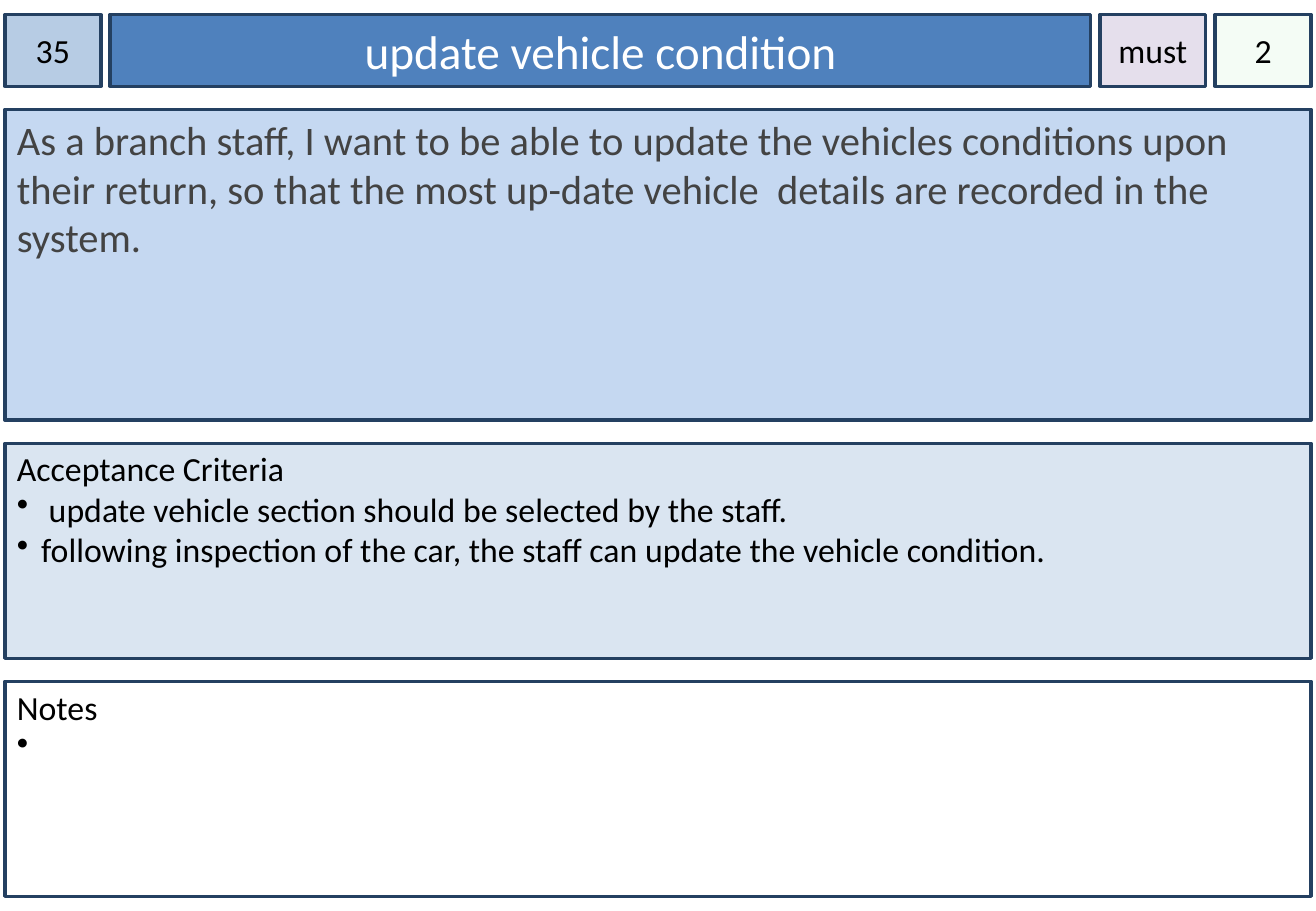
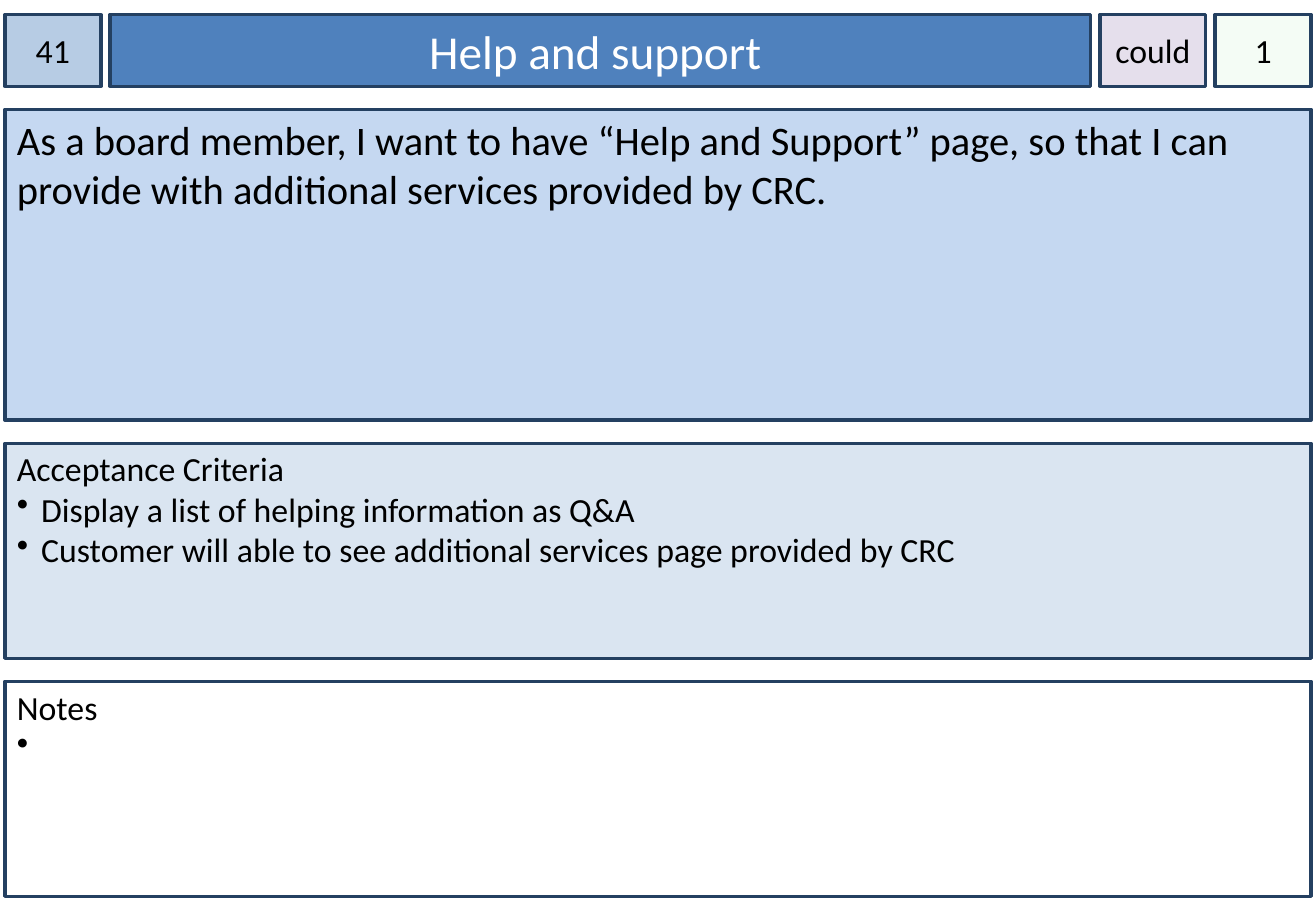
"""Builds two user story cards with a header row and three stacked panels."""
import lxml.etree
import pptx
import pptx.dml.color
import pptx.enum.shapes
import pptx.enum.text
import pptx.oxml.ns
import pptx.util

ANCHOR = pptx.enum.text.MSO_ANCHOR
ALIGN = pptx.enum.text.PP_ALIGN

STORIES = [
    {
        "number": "35",
        "title": "update vehicle condition",
        "priority": "must",
        "points": "2",
        "story": "As a branch staff, I want to be able to update the vehicles conditions upon "
                 "their return, so that the most up-date vehicle  details are recorded in the system.",
        "story_color": "434343",
        "criteria": [
            " update vehicle section should be selected by the staff.",
            "following inspection of the car, the staff can update the vehicle condition.",
        ],
        "notes": [" "],
    },
    {
        "number": "41",
        "title": "Help and support ",
        "priority": "could",
        "points": "1",
        "story": "As a board member, I want to have “Help and Support” page, so that I can "
                 "provide with additional services provided by CRC.",
        "story_color": "000000",
        "criteria": [
            "Display a list of helping information as Q&A",
            "Customer will able to see additional services page provided by CRC",
        ],
        "notes": [" "],
    },
]

THEME = {
    "font": "Calibri",
    "text": "000000",
    "border": "244061",
    "border_width": 2,
    "header_size": 20,
    "title_size": 28,
    "title_text": "FFFFFF",
    "story_size": 24,
    "panel_size": 20,
    "fills": {
        "number": "B7CCE4",
        "title": "4F81BD",
        "priority": "E5DFEC",
        "points": "CCF0CD",
        "story": "C5D8F1",
        "criteria": "DAE5F1",
        "notes": "FFFFFF",
    },
    "opacity": {"points": 20},
}

PX = 9144
PAGE = (1083, 750)
LEFT, TOP, WIDTH = 4, 12, 1075
ROW_GAP = 19
HEADER_HEIGHT = 59
HEADER_WIDTHS = {"number": 79, "title": 807, "priority": 87, "points": 79}
PANEL_HEIGHTS = {"story": 256, "criteria": 177, "notes": 177}
PANEL_HEADINGS = {"criteria": "Acceptance Criteria", "notes": "Notes"}
BULLET_INDENT = 20


def px(value):
    return round(value * PX)


def rgb(value):
    return pptx.dml.color.RGBColor.from_string(value)


def layout():
    """Return the place of every box by name."""
    places = {}
    gap = (WIDTH - sum(HEADER_WIDTHS.values())) / (len(HEADER_WIDTHS) - 1)
    left = LEFT
    for name, width in HEADER_WIDTHS.items():
        places[name] = (left, TOP, width, HEADER_HEIGHT)
        left += width + gap
    top = TOP + HEADER_HEIGHT + ROW_GAP
    for name, height in PANEL_HEIGHTS.items():
        places[name] = (LEFT, top, WIDTH, height)
        top += height + ROW_GAP
    return places


def add_bullet(para):
    """Give a paragraph a hanging round bullet."""
    properties = para._p.get_or_add_pPr()
    for name, value in {"marL": BULLET_INDENT, "indent": -BULLET_INDENT}.items():
        properties.set(name, str(px(value)))
    color = lxml.etree.SubElement(properties, pptx.oxml.ns.qn("a:buClr"))
    lxml.etree.SubElement(color, pptx.oxml.ns.qn("a:srgbClr"), val=THEME["text"])
    lxml.etree.SubElement(properties, pptx.oxml.ns.qn("a:buChar"), char="•")


def add_box(page, name, place, lines, size, color, align, frame_format):
    """Draw one bordered box whose lines are (text, bulleted) pairs."""
    box = page.shapes.add_shape(pptx.enum.shapes.MSO_SHAPE.RECTANGLE, *map(px, place))
    box.shadow.inherit = False
    box.fill.solid()
    box.fill.fore_color.rgb = rgb(THEME["fills"][name])
    if name in THEME["opacity"]:
        fill_color = box._element.spPr.find(".//" + pptx.oxml.ns.qn("a:srgbClr"))
        lxml.etree.SubElement(fill_color, pptx.oxml.ns.qn("a:alpha"),
                              val=str(THEME["opacity"][name] * 1000))
    box.line.color.rgb = rgb(THEME["border"])
    box.line.width = pptx.util.Pt(THEME["border_width"])
    frame = box.text_frame
    for key, value in {"word_wrap": True, **frame_format}.items():
        setattr(frame, key, value)
    for index, (text, bulleted) in enumerate(lines):
        para = frame.add_paragraph() if index else frame.paragraphs[0]
        para.alignment = align
        if bulleted:
            add_bullet(para)
        span = para.add_run()
        span.text = text
        for key, value in {"name": THEME["font"], "size": pptx.util.Pt(size)}.items():
            setattr(span.font, key, value)
        span.font.color.rgb = rgb(color)


def add_story(page, story, places):
    """Fill one page with the header cells and panels of a story."""
    for name in HEADER_WIDTHS:
        is_title = name == "title"
        side = px(10 if is_title else 0)
        add_box(page, name, places[name], [(story[name], False)],
                THEME["title_size" if is_title else "header_size"],
                THEME["title_text" if is_title else "text"], ALIGN.CENTER,
                {"vertical_anchor": ANCHOR.MIDDLE, "margin_left": side, "margin_right": side})
    add_box(page, "story", places["story"], [(story["story"], False)],
            THEME["story_size"], story["story_color"], ALIGN.LEFT,
            {"vertical_anchor": ANCHOR.TOP})
    for name, heading in PANEL_HEADINGS.items():
        lines = [(heading, False)] + [(text, True) for text in story[name]]
        add_box(page, name, places[name], lines, THEME["panel_size"], THEME["text"],
                ALIGN.LEFT, {"vertical_anchor": ANCHOR.TOP, "margin_top": px(4)})


def main():
    deck = pptx.Presentation()
    deck.slide_width, deck.slide_height = map(px, PAGE)
    places = layout()
    for story in STORIES:
        add_story(deck.slides.add_slide(deck.slide_layouts[6]), story, places)
    deck.save("out.pptx")


if __name__ == "__main__":
    main()
